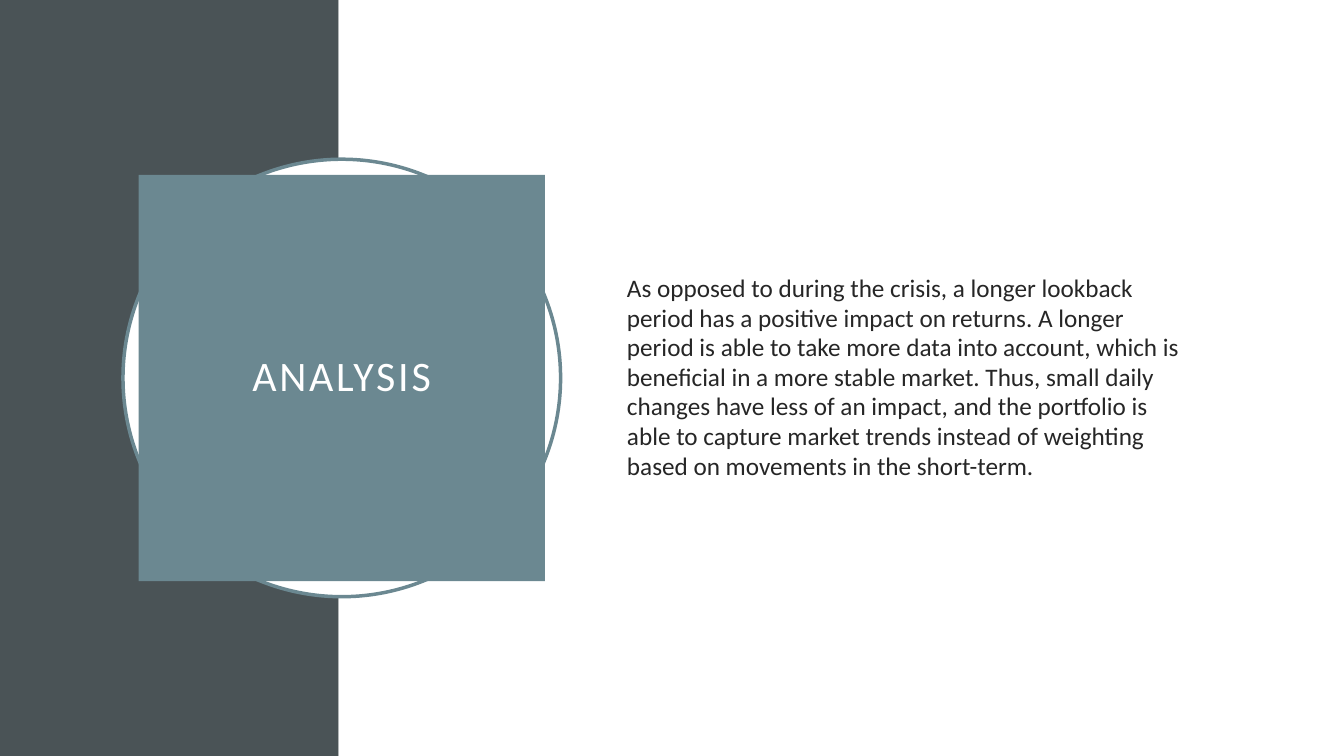
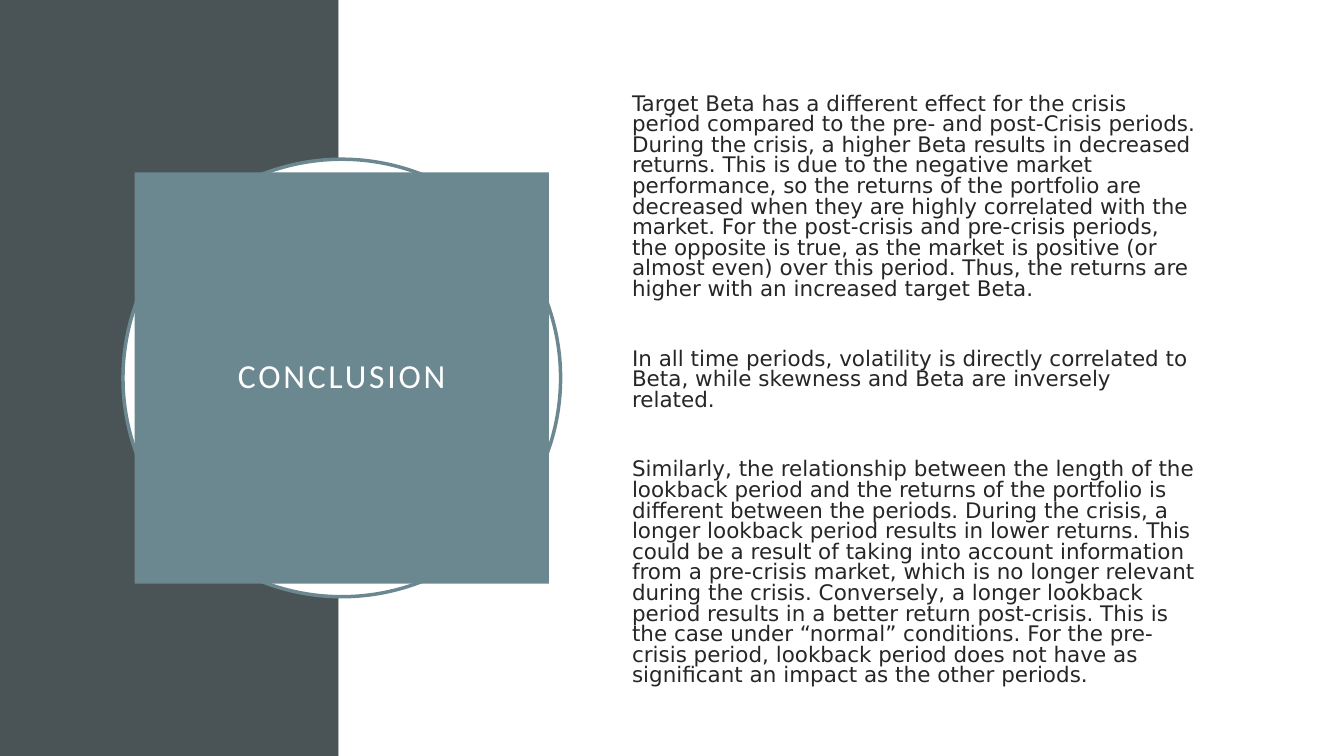
from pptx import Presentation
from pptx import util as u
from pptx.dml.color import RGBColor
from pptx.enum import shapes, text

SLATE = RGBColor(0x4A, 0x53, 0x56)
TEAL = RGBColor(0x6B, 0x88, 0x91)
WHITE = RGBColor(0xFF, 0xFF, 0xFF)
INK = RGBColor(0x26, 0x26, 0x26)

WIDTH, HEIGHT = 13.33, 7.5
BAND_WIDTH = 3.36
RING_CENTER = (3.39, 3.75)
RING_SIZE = 4.34
TITLE_FONT = "Calibri"

ANALYSIS = [
    "As opposed to during the crisis, a longer lookback period has a positive impact on returns. "
    "A longer period is able to take more data into account, which is beneficial in a more stable "
    "market. Thus, small daily changes have less of an impact, and the portfolio is able to capture "
    "market trends instead of weighting based on movements in the short-term.",
]
CONCLUSION = [
    "Target Beta has a different effect for the crisis period compared to the pre- and post-Crisis "
    "periods. During the crisis, a higher Beta results in decreased returns. This is due to the "
    "negative market performance, so the returns of the portfolio are decreased when they are highly "
    "correlated with the market. For the post-crisis and pre-crisis periods, the opposite is true, as "
    "the market is positive (or almost even) over this period. Thus, the returns are higher with an "
    "increased target Beta.",
    "In all time periods, volatility is directly correlated to Beta, while skewness and Beta are "
    "inversely related.",
    "Similarly, the relationship between the length of the lookback period and the returns of the "
    "portfolio is different between the periods. During the crisis, a longer lookback period results "
    "in lower returns. This could be a result of taking into account information from a pre-crisis "
    "market, which is no longer relevant during the crisis. Conversely, a longer lookback period "
    "results in a better return post-crisis. This is the case under “normal” conditions. For the "
    "pre-crisis period, lookback period does not have as significant an impact as the other periods.",
]


def inches(box):
    return [u.Inches(length) for length in box]


def centered(center, width, height):
    """Return the box of the given size around a center point."""
    return center[0] - width / 2, center[1] - height / 2, width, height


def add_filled(slide, preset, box, fill, outline=None):
    shape = slide.shapes.add_shape(preset, *inches(box))
    shape.shadow.inherit = False
    shape.fill.solid()
    shape.fill.fore_color.rgb = fill
    if outline is None:
        shape.line.fill.background()
    else:
        shape.line.color.rgb = outline
        shape.line.width = u.Pt(2.5)
    return shape


def add_backdrop(slide):
    """Draw the dark band, the white field and the ring behind the title."""
    rectangle = shapes.MSO_SHAPE.RECTANGLE
    add_filled(slide, rectangle, (0, 0, BAND_WIDTH, HEIGHT), SLATE)
    add_filled(slide, rectangle, (BAND_WIDTH, 0, WIDTH - BAND_WIDTH, HEIGHT), WHITE)
    ring_box = centered(RING_CENTER, RING_SIZE, RING_SIZE)
    add_filled(slide, shapes.MSO_SHAPE.OVAL, ring_box, WHITE, TEAL)


def add_title(slide, title, box, size):
    panel = add_filled(slide, shapes.MSO_SHAPE.RECTANGLE, box, TEAL)
    frame = panel.text_frame
    frame.word_wrap = True
    frame.vertical_anchor = text.MSO_ANCHOR.MIDDLE
    frame.margin_left = frame.margin_right = u.Inches(0.2)
    frame.margin_top = frame.margin_bottom = u.Inches(0.2)
    paragraph = frame.paragraphs[0]
    paragraph.alignment = text.PP_ALIGN.CENTER
    paragraph.line_spacing = 0.9
    run = paragraph.add_run()
    run.text = title
    run.font.name, run.font.size = TITLE_FONT, u.Pt(size)
    run.font.color.rgb = WHITE
    run._r.get_or_add_rPr().set("spc", "200")


def add_body(slide, passages, box, font, size, leading, gap=0):
    frame = slide.shapes.add_textbox(*inches(box)).text_frame
    frame.word_wrap = True
    frame.vertical_anchor = text.MSO_ANCHOR.MIDDLE
    for index, passage in enumerate(passages):
        paragraph = frame.add_paragraph() if index else frame.paragraphs[0]
        paragraph.text = passage
        paragraph.alignment = text.PP_ALIGN.LEFT
        paragraph.line_spacing = leading
        paragraph.space_before = u.Pt(gap if index else 0)
        paragraph.font.name, paragraph.font.size = font, u.Pt(size)
        paragraph.font.color.rgb = INK


def add_statement_slide(deck, title, title_size, panel_size, passages, body_box, **body_style):
    slide = deck.slides.add_slide(deck.slide_layouts[6])
    add_backdrop(slide)
    add_title(slide, title, centered(RING_CENTER, *panel_size), title_size)
    add_body(slide, passages, body_box, **body_style)


def main():
    deck = Presentation()
    deck.slide_width, deck.slide_height = inches((WIDTH, HEIGHT))
    add_statement_slide(deck, "ANALYSIS", 30, (4.03, 4.03), ANALYSIS,
                        (6.12, 1.53, 5.82, 4.43),
                        font="Calibri", size=18, leading=0.98)
    add_statement_slide(deck, "CONCLUSION", 24, (4.11, 4.08), CONCLUSION,
                        (6.17, 0.88, 5.82, 6),
                        font="DejaVu Sans", size=15.3, leading=u.Pt(14.7), gap=35)
    deck.save("out.pptx")


if __name__ == "__main__":
    main()
